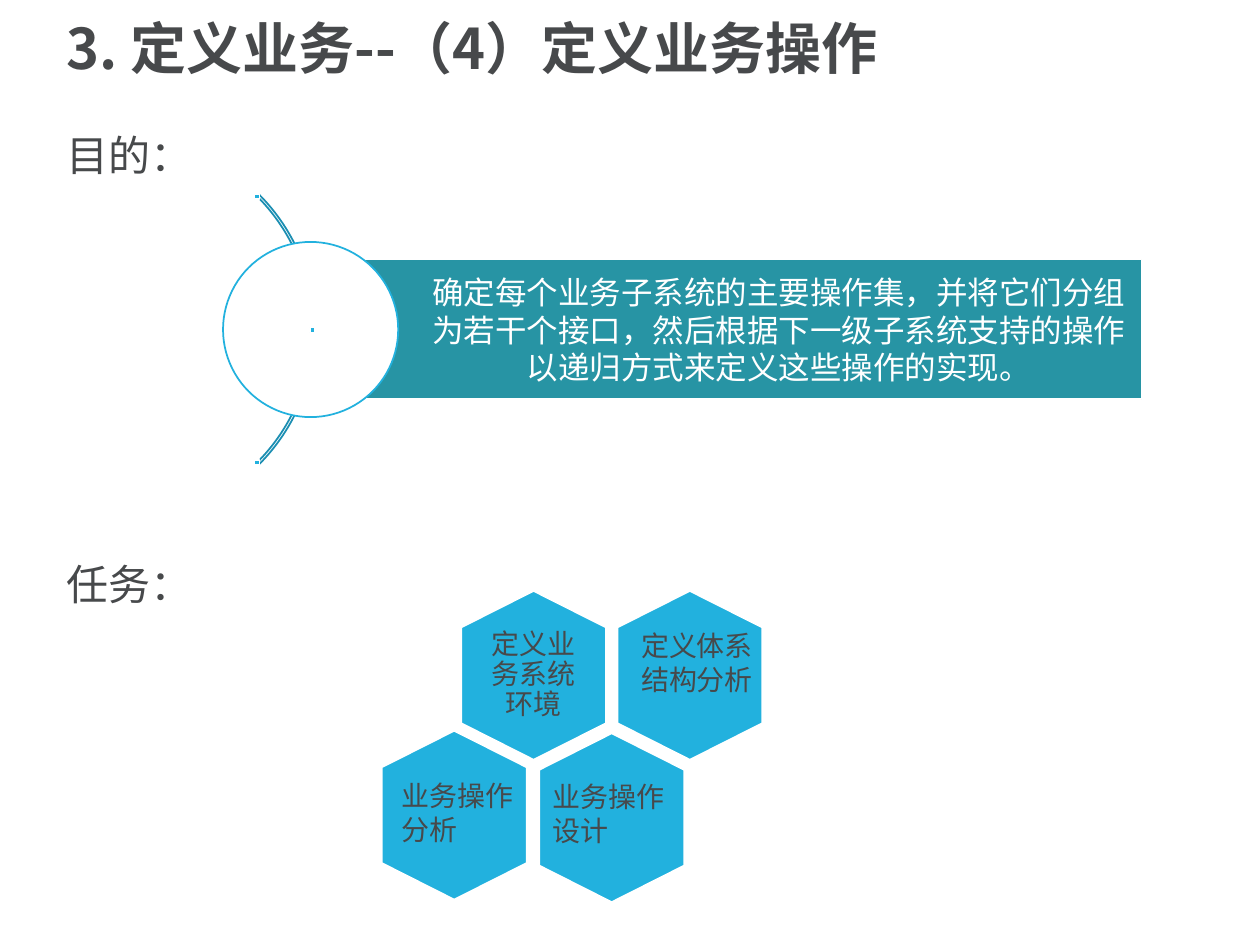
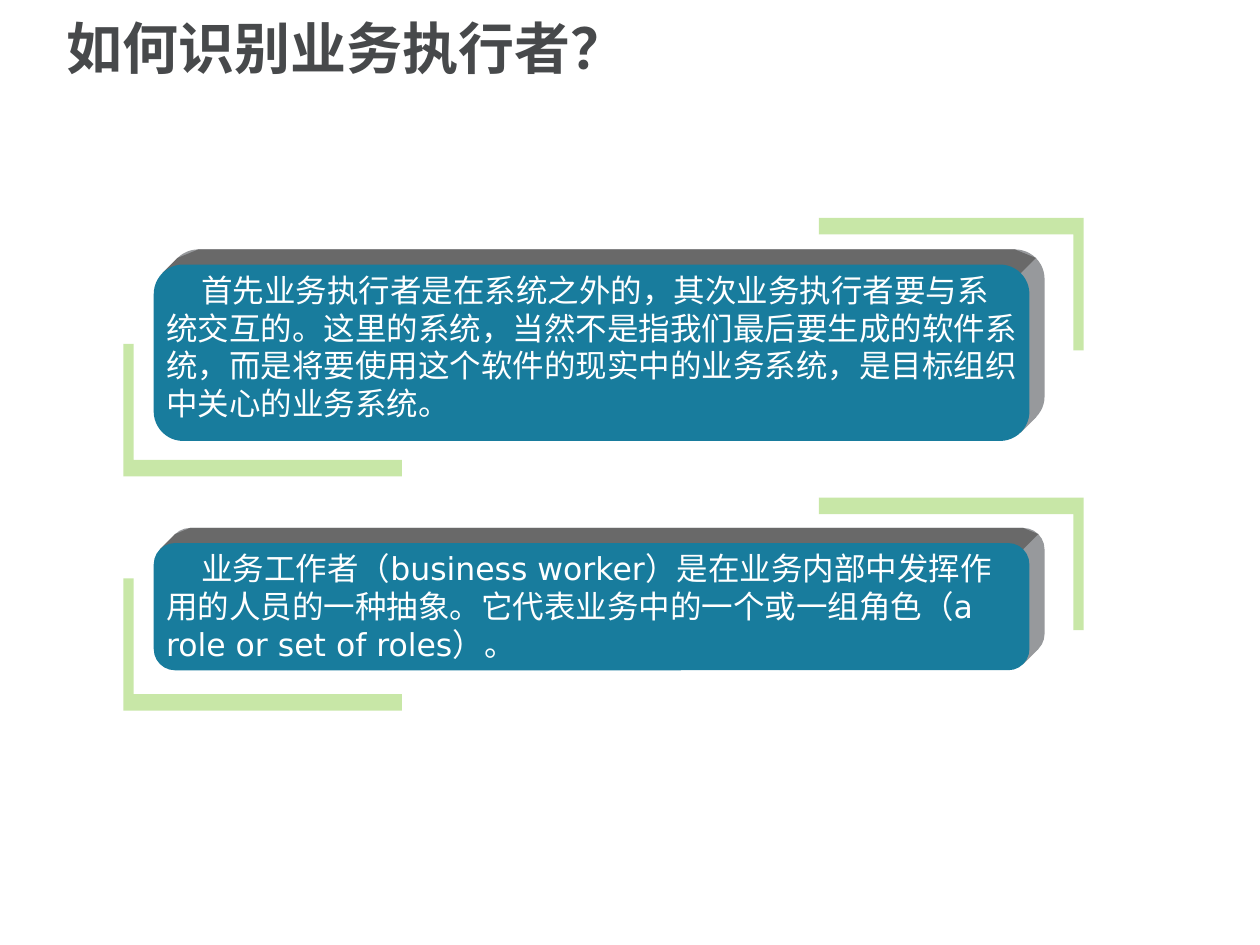
import pptx
import pptx.util
import pptx.dml.color
import pptx.enum.shapes
import pptx.enum.text
import pptx.oxml.ns
from dataclasses import dataclass
from lxml import etree

Inches = pptx.util.Inches
MSO_SHAPE = pptx.enum.shapes.MSO_SHAPE
PP_ALIGN = pptx.enum.text.PP_ALIGN
ANCHOR = pptx.enum.text.MSO_ANCHOR


@dataclass(frozen=True)
class Theme:
    ink: str = "47494B"
    white: str = "FFFFFF"
    sky: str = "22B1DE"
    arc: str = "1B8EB2"
    teal: str = "2794A4"
    panel: str = "187C9D"
    panel_top: str = "696969"
    panel_side: str = "97999C"
    bracket: str = "92D050"
    heading_font: str = "Noto Sans CJK SC"
    diagram_font: str = "Calibri"
    panel_font: str = "DejaVu Sans"
    title_size: int = 32
    heading_size: int = 24
    text_size: int = 18
    task_size: int = 16


THEME = Theme()


def draw(slide, form, geometry, fill=None, line=None, alpha=None):
    """Draw a preset form in a box, or with form None an outline through points, in inches."""
    if form is None:
        points = [(Inches(x), Inches(y)) for x, y in geometry]
        builder = slide.shapes.build_freeform(*points[0])
        builder.add_line_segments(points[1:], close=True)
        shape = builder.convert_to_shape()
    else:
        shape = slide.shapes.add_shape(form, *map(Inches, geometry))
    shape.shadow.inherit = False
    if fill:
        shape.fill.solid()
        shape.fill.fore_color.rgb = pptx.dml.color.RGBColor.from_string(fill)
    else:
        shape.fill.background()
    if alpha:
        color = shape.fill._xPr.find(".//" + pptx.oxml.ns.qn("a:srgbClr"))
        etree.SubElement(color, pptx.oxml.ns.qn("a:alpha"), val=str(alpha * 1000))
    if line:
        shape.line.color.rgb = pptx.dml.color.RGBColor.from_string(line)
        shape.line.width = pptx.util.Pt(1)
    else:
        shape.line.fill.background()
    return shape


def write(slide, text, box, size, font, color=THEME.ink, bold=False, align=PP_ALIGN.LEFT,
          anchor=ANCHOR.TOP, insets=(0.1, 0.05, 0.1, 0.05), spacing=None, indent=0):
    frame = slide.shapes.add_textbox(*map(Inches, box)).text_frame
    frame.word_wrap = True
    frame.vertical_anchor = anchor
    frame.margin_left, frame.margin_top, frame.margin_right, frame.margin_bottom = map(Inches, insets)
    paragraph = frame.paragraphs[0]
    paragraph.alignment = align
    if spacing:
        paragraph.line_spacing = spacing
    if indent:
        paragraph._p.get_or_add_pPr().set("indent", str(Inches(indent)))
    run = paragraph.add_run()
    run.text = text
    run.font.size = pptx.util.Pt(size)
    run.font.name = font
    run.font.bold = bold
    run.font.color.rgb = pptx.dml.color.RGBColor.from_string(color)
    if font == THEME.heading_font:
        etree.SubElement(run._r.get_or_add_rPr(), pptx.oxml.ns.qn("a:ea"), typeface=font)


deck = pptx.Presentation()
deck.slide_width, deck.slide_height = Inches(10), Inches(7.5)

slides = []
for title in ("3. 定义业务--（4）定义业务操作", "如何识别业务执行者？"):
    slide = deck.slides.add_slide(deck.slide_layouts[6])
    write(slide, title, (0.43, 0.06, 9.05, 0.7), THEME.title_size, THEME.heading_font,
          bold=True, anchor=ANCHOR.MIDDLE, spacing=0.9)
    slides.append(slide)
operations, actors = slides

# Purpose and tasks
for heading, top in (("目的：", 0.98), ("任务：", 4.38)):
    write(operations, heading, (0.43, top, 2, 0.6), THEME.heading_size, THEME.heading_font)

HEX_WIDTH, HEX_HEIGHT, HEX_SHOULDER = 1.15, 1.34, 0.29
for left, top in ((4.9, 4.69), (3.66, 4.69), (4.28, 5.82), (3.03, 5.8)):
    middle, right, bottom = left + HEX_WIDTH / 2, left + HEX_WIDTH, top + HEX_HEIGHT
    upper, lower = top + HEX_SHOULDER, bottom - HEX_SHOULDER
    draw(operations, None, [(middle, top), (right, upper), (right, lower),
                            (middle, bottom), (left, lower), (left, upper)],
         THEME.sky, THEME.white)

write(operations, "定义业务系统环境", (3.66, 4.69, HEX_WIDTH, HEX_HEIGHT), THEME.task_size,
      THEME.diagram_font, align=PP_ALIGN.CENTER, anchor=ANCHOR.MIDDLE,
      insets=(0.22, 0.26, 0.22, 0.26), spacing=0.9)
for task, left, top in (("定义体系结构分析", 4.99, 4.94),
                        ("业务操作分析", 3.09, 6.13),
                        ("业务操作设计", 4.29, 6.14)):
    write(operations, task, (left, top, 1.13, 0.64), THEME.task_size, THEME.diagram_font)

purpose_arc = draw(operations, MSO_SHAPE.BLOCK_ARC, (-0.53, 1.1, 3.03, 3.03), line=THEME.arc)
for index, value in enumerate((189, 27, 0.007)):
    purpose_arc.adjustments[index] = value
purpose_band = (2.47, 2.06, 6.59, 1.11)
draw(operations, MSO_SHAPE.RECTANGLE, purpose_band, THEME.teal, THEME.white)
write(operations,
      "确定每个业务子系统的主要操作集，并将它们分组为若干个接口，"
      "然后根据下一级子系统支持的操作以递归方式来定义这些操作的实现。",
      purpose_band, THEME.text_size, THEME.diagram_font, color=THEME.white,
      align=PP_ALIGN.CENTER, anchor=ANCHOR.MIDDLE, insets=(0.88, 0.05, 0.05, 0.05))
draw(operations, MSO_SHAPE.OVAL, (1.77, 1.92, 1.39, 1.39), THEME.white, THEME.sky)
for left, top in ((2.02, 1.54), (2.46, 2.6), (2.02, 3.65)):
    draw(operations, MSO_SHAPE.RECTANGLE, (left, top, 0.04, 0.04), THEME.sky, THEME.white)

# Raised panels between corner brackets
PANEL_LEFT, PANEL_WIDTH, DEPTH, ROUNDING = 1.22, 6.95, 0.12, 0.167
BRACKET_HEIGHT, BAR_X, BAR_Y = 1.05, 0.08, 0.13
panels = (
    (2.1, 1.4, 3.78, 1.73,
     "首先业务执行者是在系统之外的，其次业务执行者要与系统交互的。这里的系统，"
     "当然不是指我们最后要生成的软件系统，而是将要使用这个软件的现实中的业务系统，"
     "是目标组织中关心的业务系统。"),
    (4.31, 1.01, 5.64, 3.95,
     "业务工作者（business worker）是在业务内部中发挥作用的人员的一种抽象。"
     "它代表业务中的一个或一组角色（a role or set of roles）。"),
)
for top, height, lower_corner, upper_corner, text in panels:
    for x, y, width, across, up in ((0.98, lower_corner, 2.21, 1, -1),
                                    (8.6, upper_corner, 2.1, -1, 1)):
        inner_x, inner_y = x + across * BAR_X, y + up * BAR_Y
        end_x, end_y = x + across * width, y + up * BRACKET_HEIGHT
        draw(actors, None, [(inner_x, inner_y), (inner_x, end_y), (x, end_y),
                            (x, y), (end_x, y), (end_x, inner_y)],
             THEME.bracket, alpha=50)

    radius = ROUNDING * height
    inset = 0.29 * radius
    near_left, near_right = PANEL_LEFT + inset, PANEL_LEFT + PANEL_WIDTH - inset
    near_top, near_bottom = top + inset, top + height - inset
    far_left, far_right = near_left + DEPTH, near_right + DEPTH
    far_top, far_bottom = near_top - DEPTH, near_bottom - DEPTH
    back = (PANEL_LEFT + DEPTH, top - DEPTH, PANEL_WIDTH, height)
    front = (PANEL_LEFT, top, PANEL_WIDTH, height)

    draw(actors, MSO_SHAPE.ROUNDED_RECTANGLE, back, THEME.panel_side).adjustments[0] = ROUNDING
    draw(actors, None, [(near_right, near_top), (far_right, far_top),
                        (far_right, far_bottom), (near_right, near_bottom)], THEME.panel_side)
    draw(actors, None, [(near_left, near_top), (far_left, far_top),
                        (back[0] + radius, back[1]),
                        (back[0] + PANEL_WIDTH - radius, back[1]),
                        (far_right, far_top), (near_right, near_top)], THEME.panel_top)
    draw(actors, MSO_SHAPE.ROUNDED_RECTANGLE, front, THEME.panel).adjustments[0] = ROUNDING
    write(actors, text, front, THEME.text_size, THEME.panel_font, color=THEME.white, indent=0.28)

deck.save("out.pptx")
